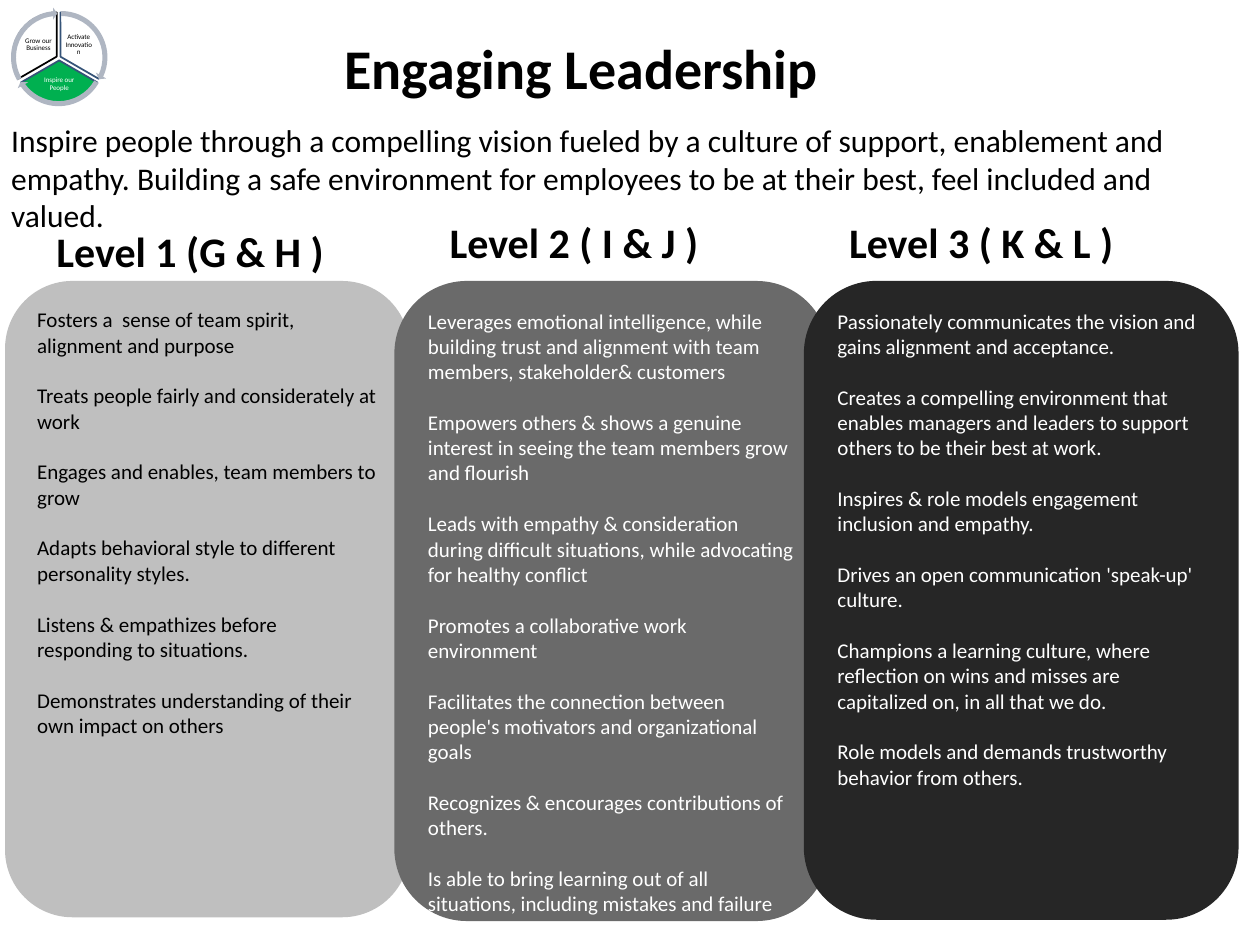
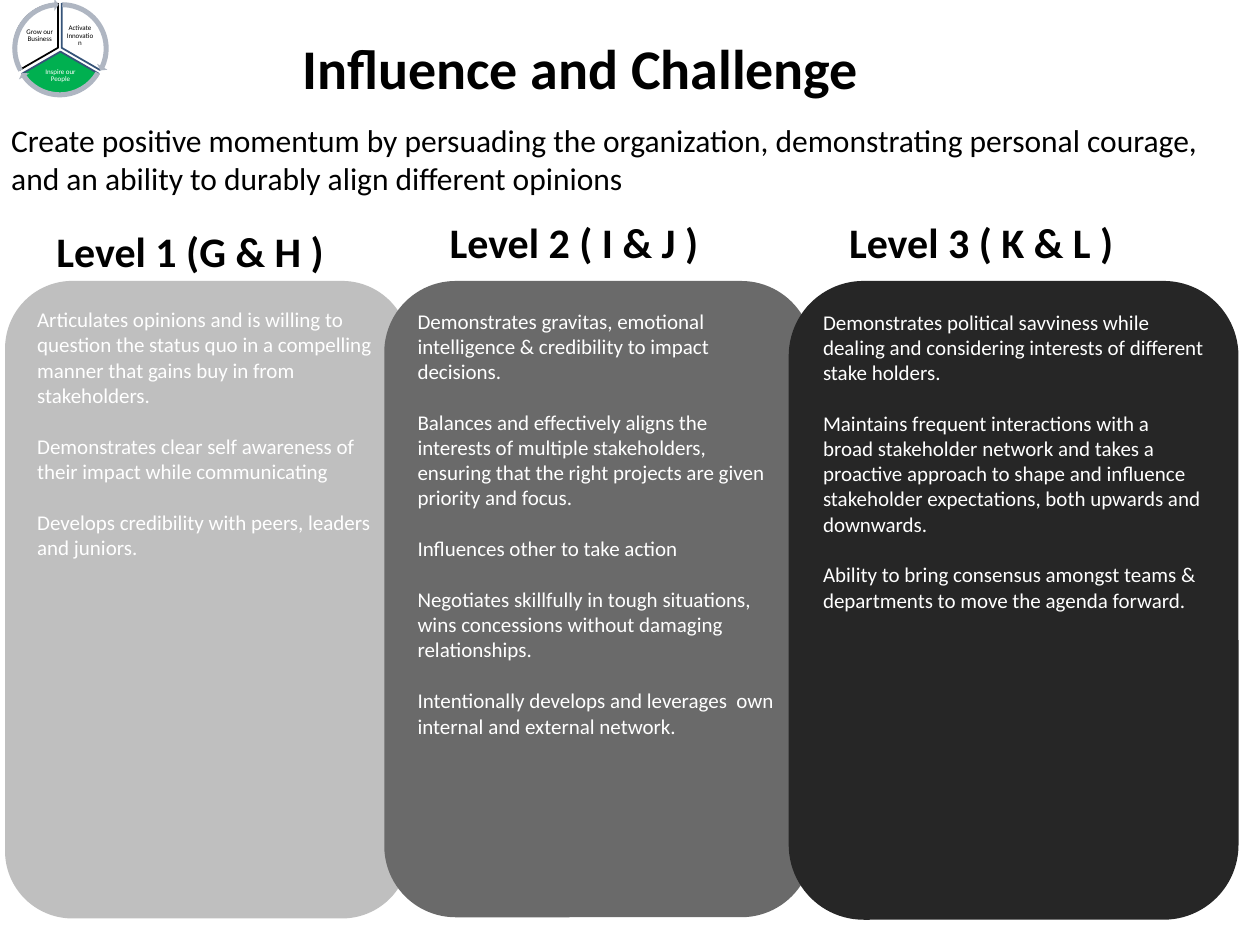
"""Build two leadership competency pages with three level columns each."""
from dataclasses import dataclass
from typing import Optional

from pptx import Presentation
from pptx.dml.color import RGBColor
from pptx.enum.shapes import MSO_SHAPE as Preset
from pptx.enum.text import MSO_ANCHOR as Anchor, MSO_AUTO_SIZE as AutoSize, PP_ALIGN as Align
from pptx.util import Inches, Pt

FONT = "Calibri"
BLACK, WHITE, GREEN = "000000", "FFFFFF", "00B050"
NAVY, SILVER = "355378", "AFB6C2"
COLUMN_FILLS = ("BFBFBF", "6A6A6A", "262626")
COLUMN_TOP = 2.23
POINT_GAP = 14.65
SECTOR_SIZE, ARROW_SIZE = 0.7, 0.79


@dataclass(frozen=True)
class Heading:
    """A level heading above a column."""
    text: str
    left: float
    top: float
    width: float


@dataclass(frozen=True)
class Column:
    """A rounded column listing the behaviours of one level."""
    left: float
    width: float
    height: float
    ink: str
    points: tuple[str, ...]


@dataclass(frozen=True)
class Sector:
    """A labelled third of the wheel."""
    left: float
    top: float
    angles: tuple[float, float]
    fill: Optional[str]
    line: str
    label: str
    label_box: tuple[float, float, float, float]
    ink: str


@dataclass(frozen=True)
class Arrow:
    """A circular arrow around one third of the wheel."""
    left: float
    top: float
    end: float
    start: float


@dataclass(frozen=True)
class Competency:
    """The content of one page."""
    title: str
    title_left: float
    title_width: float
    summary: str
    summary_height: float
    wheel_shift: tuple[float, float]
    columns: tuple[Column, ...]


HEADINGS = (
    Heading("Level 1 (G & H )", 0.35, 1.74, 2.34),
    Heading("Level 2 ( I & J )", 3.47, 1.67, 2.19),
    Heading("Level 3 ( K & L )", 6.64, 1.67, 2.32),
)

SECTORS = (
    Sector(0.13, 0.1, (162, 18), None, NAVY, "Activate Innovation",
           (0.5, 0.25, 0.25, 0.21), BLACK),
    Sector(0.12, 0.13, (18, 90), GREEN, NAVY, "Inspire our People",
           (0.28, 0.58, 0.38, 0.18), WHITE),
    Sector(0.1, 0.1, (90, 162), WHITE, BLACK, "Grow our Business",
           (0.18, 0.25, 0.25, 0.21), BLACK),
)

ARROWS = (
    Arrow(0.09, 0.06, 14.73, 161.99),
    Arrow(0.07, 0.08, 86.72, 18),
    Arrow(0.06, 0.06, 158.73, 90),
)

COMPETENCIES = (
    Competency(
        "Engaging Leadership", 2.62, 3.99,
        "Inspire people through a compelling vision fueled by a culture of support, "
        "enablement and empathy. Building a safe environment for employees to be at "
        "their best, feel included and valued.", 1.01, (0, 0),
        (
            Column(0.04, 3.21, 5.05, BLACK, (
                "Fosters a  sense of team spirit, alignment and purpose",
                "Treats people fairly and considerately at work",
                "Engages and enables, team members to grow",
                "Adapts behavioral style to different personality styles.",
                "Listens & empathizes before responding to situations.",
                "Demonstrates understanding of their own impact on others",
            )),
            Column(3.13, 3.45, 5.08, WHITE, (
                "Leverages emotional intelligence, while building trust and alignment "
                "with team members, stakeholder& customers",
                "Empowers others & shows a genuine interest in seeing the team members "
                "grow and flourish",
                "Leads with empathy & consideration during difficult situations, while "
                "advocating for healthy conflict",
                "Promotes a collaborative work environment",
                "Facilitates the connection between people's motivators and "
                "organizational goals",
                "Recognizes & encourages contributions of others.",
                "Is able to bring learning out of all situations, including mistakes "
                "and failure",
            )),
            Column(6.38, 3.45, 5.07, WHITE, (
                "Passionately communicates the vision and gains alignment and acceptance.",
                "Creates a compelling environment that enables managers and leaders to "
                "support others to be their best at work.",
                "Inspires & role models engagement inclusion and empathy.",
                "Drives an open communication 'speak-up' culture.",
                "Champions a learning culture, where reflection on wins and misses are "
                "capitalized on, in all that we do.",
                "Role models and demands trustworthy behavior from others.",
            )),
        ),
    ),
    Competency(
        "Influence and Challenge", 2.28, 4.66,
        "Create positive momentum by persuading the organization, demonstrating "
        "personal courage, and an ability to durably align different opinions",
        0.71, (0.01, -0.07),
        (
            Column(0.04, 3.21, 5.06, WHITE, (
                "Articulates opinions and is willing to question the status quo in a "
                "compelling manner that gains buy in from stakeholders.",
                "Demonstrates clear self awareness of their impact while communicating",
                "Develops credibility with peers, leaders and juniors.",
            )),
            Column(3.05, 3.4, 5.05, WHITE, (
                "Demonstrates gravitas, emotional intelligence & credibility to impact "
                "decisions.",
                "Balances and effectively aligns the interests of multiple stakeholders, "
                "ensuring that the right projects are given priority and focus.",
                "Influences other to take action",
                "Negotiates skillfully in tough situations, wins concessions without "
                "damaging relationships.",
                "Intentionally develops and leverages  own internal and external network.",
            )),
            Column(6.26, 3.57, 5.07, WHITE, (
                "Demonstrates political savviness while dealing and considering interests "
                "of different stake holders.",
                "Maintains frequent interactions with a broad stakeholder network and "
                "takes a proactive approach to shape and influence stakeholder "
                "expectations, both upwards and downwards.",
                "Ability to bring consensus amongst teams & departments to move the "
                "agenda forward.",
            )),
        ),
    ),
)


def color(value: str) -> RGBColor:
    """Turn a hex string into a colour."""
    return RGBColor.from_string(value)


def style(para, size: float, ink: str, bold: bool = False, align=Align.LEFT) -> None:
    """Set the font and alignment of a paragraph."""
    para.font.name, para.font.size, para.font.bold = FONT, Pt(size), bold
    para.font.color.rgb = color(ink)
    para.alignment = align


def add_shape(shapes, preset, left: float, top: float, width: float, height: float,
              fill: Optional[str], line: Optional[str] = None, adjust: tuple = ()):
    """Draw a flat preset shape."""
    shape = shapes.add_shape(preset, Inches(left), Inches(top), Inches(width), Inches(height))
    shape.shadow.inherit = False
    if fill:
        shape.fill.solid()
        shape.fill.fore_color.rgb = color(fill)
    else:
        shape.fill.background()
    if line:
        shape.line.color.rgb = color(line)
        shape.line.width = Pt(1)
    else:
        shape.line.fill.background()
    for index, value in enumerate(adjust):
        shape.adjustments[index] = value
    return shape


def add_text(shapes, text: str, left: float, top: float, width: float, height: float,
             size: float, ink: str = BLACK, bold: bool = False, align=Align.LEFT,
             wrap: bool = True, grow: bool = True):
    """Place a one-paragraph text box and return its frame."""
    box = shapes.add_textbox(Inches(left), Inches(top), Inches(width), Inches(height))
    frame = box.text_frame
    frame.word_wrap = wrap
    frame.auto_size = AutoSize.SHAPE_TO_FIT_TEXT if grow else AutoSize.NONE
    frame.text = text
    style(frame.paragraphs[0], size, ink, bold, align)
    return frame


def add_column(page, column: Column, fill: str) -> None:
    """Draw a column with its spaced points."""
    shape = add_shape(page.shapes, Preset.ROUNDED_RECTANGLE, column.left, COLUMN_TOP,
                      column.width, column.height, fill)
    frame = shape.text_frame
    frame.word_wrap = True
    frame.vertical_anchor = Anchor.TOP
    frame.text = "\n".join(column.points)
    for index, para in enumerate(frame.paragraphs):
        style(para, 12, column.ink)
        if index:
            para.space_before = Pt(POINT_GAP)


def add_wheel(page, shift: tuple[float, float]) -> None:
    """Draw the three-part wheel as a group."""
    shapes = page.shapes.add_group_shape().shapes
    right, down = shift
    for sector in SECTORS:
        add_shape(shapes, Preset.PIE, sector.left + right, sector.top + down,
                  SECTOR_SIZE, SECTOR_SIZE, sector.fill, sector.line, sector.angles)
        left, top, width, height = sector.label_box
        frame = add_text(shapes, sector.label, left + right, top + down, width, height,
                         4, sector.ink, align=Align.CENTER, grow=False)
        frame.vertical_anchor = Anchor.MIDDLE
        frame.margin_left = frame.margin_right = Inches(0.01)
        frame.margin_top = frame.margin_bottom = Inches(0.01)
        frame.paragraphs[0].line_spacing = 0.9
    for arrow in ARROWS:
        add_shape(shapes, Preset.CIRCULAR_ARROW, arrow.left + right, arrow.top + down,
                  ARROW_SIZE, ARROW_SIZE, SILVER,
                  adjust=(0.05, 3.28, arrow.end, arrow.start, 0.06))


def add_page(deck, competency: Competency) -> None:
    """Add one competency page."""
    page = deck.slides.add_slide(deck.slide_layouts[6])
    add_text(page.shapes, competency.summary, -0.01, 0.91, 9.92,
             competency.summary_height, 18)
    add_text(page.shapes, competency.title, competency.title_left, 0.22,
             competency.title_width, 0.64, 32, bold=True, align=Align.CENTER, wrap=False)
    for column, fill in zip(competency.columns, COLUMN_FILLS):
        add_column(page, column, fill)
    for heading in HEADINGS:
        add_text(page.shapes, heading.text, heading.left, heading.top, heading.width, 0.5,
                 24, bold=True, wrap=False)
    add_wheel(page, competency.wheel_shift)


def main() -> None:
    """Build and save the deck."""
    deck = Presentation()
    deck.slide_width, deck.slide_height = Inches(10), Inches(7.5)
    for competency in COMPETENCIES:
        add_page(deck, competency)
    deck.save("out.pptx")


if __name__ == "__main__":
    main()
